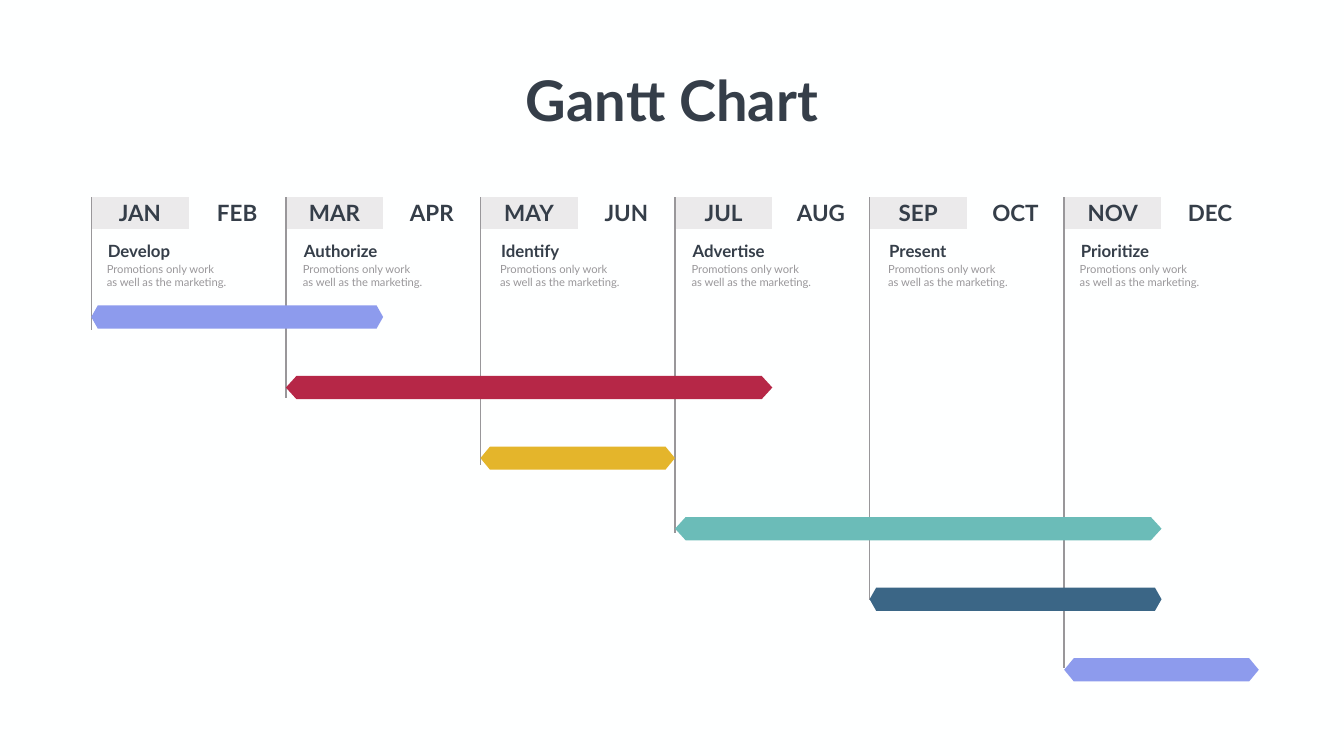
from lxml import etree
from pptx import Presentation
from pptx import util as u
from pptx.dml import color
from pptx.enum import text
from pptx.oxml import ns

MONTHS = ["JAN", "FEB", "MAR", "APR", "MAY", "JUN",
          "JUL", "AUG", "SEP", "OCT", "NOV", "DEC"]
TASKS = [
    ("Develop", 2.04, 3, 0.13, "8D9BED"),
    ("Authorize", 5.93, 5, 0.21, "B62747"),
    ("Identify", 9.84, 2, 0.19, "E4B52B"),
    ("Advertise", 13.64, 5, 0.21, "6BBCB8"),
    ("Present", 17.54, 3, 0.13, "3B6686"),
    ("Prioritize", 21.34, 2, 0.19, "8D9BED"),
]
DETAIL = ["Promotions only work", "as well as the marketing."]
GRID_LEFT, GRID_TOP = 1.81, 3.91
MONTH_WIDTH = 1.93
HEADER_HEIGHT, ROW_HEIGHT, ROWS = 0.6, 0.67, 14
BAR_TOP, BAR_PITCH, BAR_HEIGHT = 6.06, 1.4, 0.46


def rgb(value):
    return color.RGBColor.from_string(value)


class GanttPage:
    font = "Lato"
    ink, muted, shade = "353E49", "99979A", "EBEAEB"

    def __init__(self, deck):
        self.page = deck.slides.add_slide(deck.slide_layouts[5])
        fill = self.page.background.fill
        fill.solid()
        fill.fore_color.rgb = rgb("FEFFFF")

    def add_lines(self, frame, lines, size, ink, bold=False, align=None):
        for index, line in enumerate(lines):
            para = frame.paragraphs[0] if index == 0 else frame.add_paragraph()
            para.alignment = align
            span = para.add_run()
            span.text = line
            values = {"name": self.font, "size": u.Pt(size), "bold": bold}
            for name, value in values.items():
                setattr(span.font, name, value)
            span.font.color.rgb = rgb(ink)

    def title(self, words, left, top, width, height):
        box = self.page.shapes.title
        place = {"left": left, "top": top, "width": width, "height": height}
        for name, value in place.items():
            setattr(box, name, u.Inches(value))
        layout = {"word_wrap": False, "vertical_anchor": text.MSO_ANCHOR.TOP,
                  "auto_size": text.MSO_AUTO_SIZE.SHAPE_TO_FIT_TEXT}
        for name, value in layout.items():
            setattr(box.text_frame, name, value)
        self.add_lines(box.text_frame, [words], 80, self.ink, True, text.PP_ALIGN.CENTER)

    def border(self, cell, sides):
        properties = cell._tc.get_or_add_tcPr()
        for side in "LRTB":
            line = etree.SubElement(properties, ns.qn(f"a:ln{side}"))
            if side in sides:
                line.set("w", str(u.Pt(2.25)))
                solid = etree.SubElement(line, ns.qn("a:solidFill"))
                etree.SubElement(solid, ns.qn("a:srgbClr"), val=self.muted)
            else:
                etree.SubElement(line, ns.qn("a:noFill"))

    def calendar(self):
        columns = len(MONTHS)
        height = HEADER_HEIGHT + ROW_HEIGHT * (ROWS - 1)
        table = self.page.shapes.add_table(
            ROWS, columns, u.Inches(GRID_LEFT), u.Inches(GRID_TOP),
            u.Inches(MONTH_WIDTH * columns), u.Inches(height)).table
        table.first_row = table.horz_banding = False
        for column in table.columns:
            column.width = u.Inches(MONTH_WIDTH)
        for row, band in enumerate(table.rows):
            band.height = u.Inches(ROW_HEIGHT if row else HEADER_HEIGHT)
            for column, cell in enumerate(band.cells):
                starts_task = column % 2 == 0
                edge = column if starts_task else column + 1
                ruled = edge < columns and row < edge + 4
                self.border(cell, ("L" if starts_task else "R") if ruled else "")
                if row == 0 and starts_task:
                    cell.fill.solid()
                    cell.fill.fore_color.rgb = rgb(self.shade)
                else:
                    cell.fill.background()
                if row == 0:
                    cell.vertical_anchor = text.MSO_ANCHOR.MIDDLE
                    self.add_lines(cell.text_frame, [MONTHS[column]], 32, self.ink,
                                   True, text.PP_ALIGN.CENTER)

    def bar(self, left, top, width, tip, fill):
        right, bottom, middle = left + width, top + BAR_HEIGHT, top + BAR_HEIGHT / 2
        corners = [(right - tip, top), (left + tip, top), (left, middle),
                   (left + tip, bottom), (right - tip, bottom), (right, middle)]
        points = [(u.Inches(x), u.Inches(y)) for x, y in corners]
        builder = self.page.shapes.build_freeform(*points[0])
        builder.add_line_segments(points[1:], close=True)
        shape = builder.convert_to_shape()
        shape.shadow.inherit = False
        shape.fill.solid()
        shape.fill.fore_color.rgb = rgb(fill)
        shape.line.fill.background()

    def text_box(self, shapes, place, lines, size, ink, bold=False):
        box = shapes.add_textbox(*map(u.Inches, place))
        box.text_frame.word_wrap = True
        box.text_frame.auto_size = text.MSO_AUTO_SIZE.SHAPE_TO_FIT_TEXT
        self.add_lines(box.text_frame, lines, size, ink, bold)

    def caption(self, heading, left):
        shapes = self.page.shapes.add_group_shape().shapes
        self.text_box(shapes, (left, 4.72, 2.61, 0.5), [heading], 24, self.ink, True)
        self.text_box(shapes, (left - 0.02, 5.15, 2.87, 0.64), DETAIL, 16, self.muted)


def main():
    deck = Presentation()
    deck.slide_width, deck.slide_height = u.Inches(26.66), u.Inches(15)
    chart = GanttPage(deck)
    chart.title("Gantt Chart", 10.26, 1.24, 6.14, 1.45)
    chart.calendar()
    for index, (heading, left, months, tip, fill) in enumerate(TASKS):
        chart.bar(GRID_LEFT + 2 * index * MONTH_WIDTH, BAR_TOP + index * BAR_PITCH,
                  months * MONTH_WIDTH, tip, fill)
        chart.caption(heading, left)
    deck.save("out.pptx")


if __name__ == "__main__":
    main()
